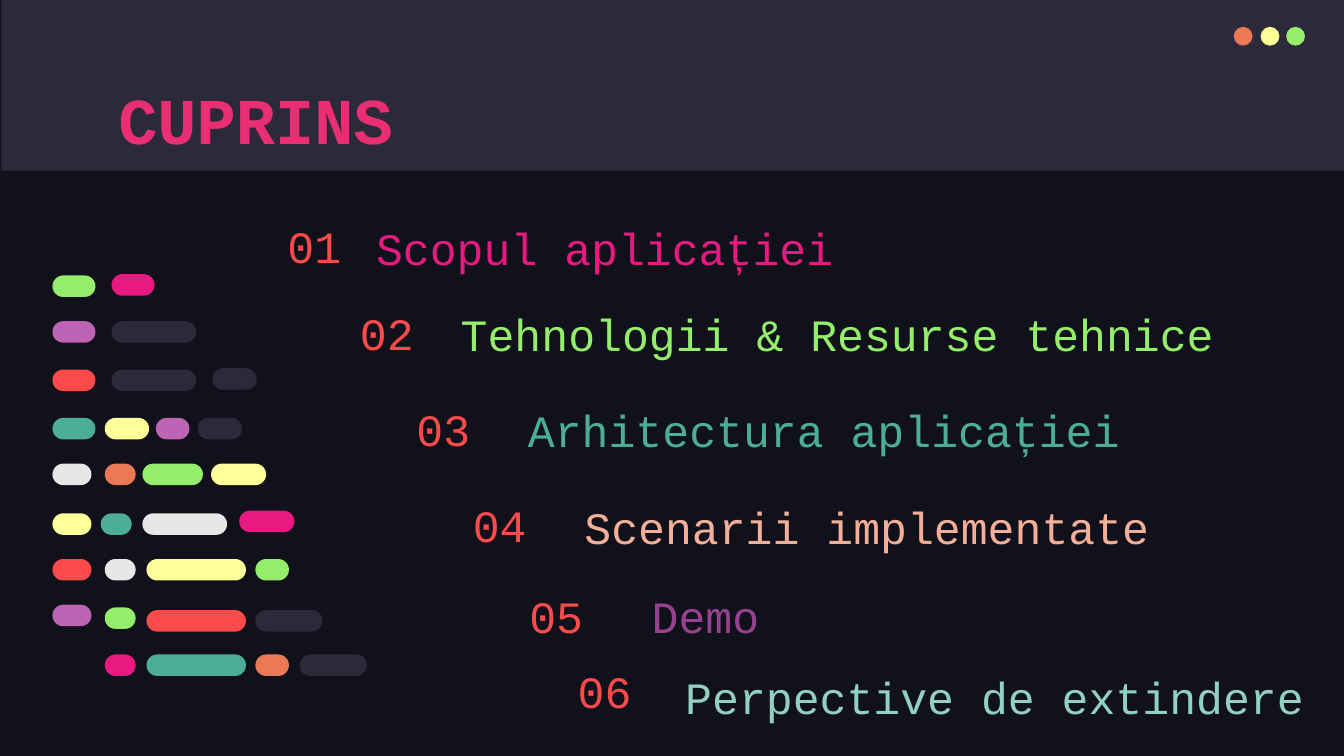
from pptx import Presentation
from pptx import util as u
from pptx.dml.color import RGBColor
from pptx.enum import shapes, text

PX = 9144  # EMU in one px, 100 px to the inch
FONT = "Courier New"

NIGHT = RGBColor(0x10, 0x11, 0x1A)
SLATE = RGBColor(0x2C, 0x29, 0x3A)
ROSE = RGBColor(0xEA, 0x2E, 0x74)
PINK = RGBColor(0xE8, 0x1A, 0x81)
RED = RGBColor(0xFD, 0x4A, 0x4A)
ORANGE = RGBColor(0xEC, 0x79, 0x55)
PEACH = RGBColor(0xF4, 0xAF, 0x99)
YELLOW = RGBColor(0xFF, 0xFF, 0x99)
GREEN = RGBColor(0x94, 0xEE, 0x6B)
TEAL = RGBColor(0x4C, 0xAE, 0x97)
MINT = RGBColor(0x92, 0xD0, 0xC1)
VIOLET = RGBColor(0xBD, 0x64, 0xB5)
PURPLE = RGBColor(0x98, 0x41, 0x90)
LIGHT = RGBColor(0xE7, 0xE7, 0xE7)

# Topic, colour, number box, topic box (left, top, width, height)
TOPICS = [
    ("Scopul aplicației", PINK, (204, 161, 66, 43), (270, 161, 460, 53)),
    ("Tehnologii & Resurse tehnice", GREEN, (258, 226, 66, 43), (333, 225, 583, 53)),
    ("Arhitectura aplicației", TEAL, (300, 301, 66, 36), (383, 297, 460, 53)),
    ("Scenarii implementate", PEACH, (342, 372, 66, 36), (425, 369, 460, 53)),
    ("Demo", PURPLE, (384, 440, 66, 36), (475, 435, 492, 53)),
    ("Perpective de extindere", MINT, (420, 496, 66, 36), (500, 495, 492, 53)),
]

# Code bars, line by line: left, top, width, colour, relative to the block
CODE_LINES = [
    [(0, 1, 32, GREEN), (44, 0, 32, PINK)],
    [(0, 35, 32, VIOLET), (44, 35, 63, SLATE)],
    [(0, 71, 32, RED), (44, 71, 63, SLATE), (119, 70, 33, SLATE)],
    [(0, 107, 32, TEAL), (39, 107, 33, YELLOW), (77, 107, 25, VIOLET), (108, 107, 33, SLATE)],
    [(0, 141, 29, LIGHT), (39, 141, 23, ORANGE), (67, 141, 45, GREEN), (118, 141, 41, YELLOW)],
    [(0, 178, 29, YELLOW), (36, 178, 23, TEAL), (67, 178, 63, LIGHT), (139, 176, 41, PINK)],
    [(0, 212, 29, RED), (39, 212, 23, LIGHT), (70, 212, 74, YELLOW), (151, 212, 25, GREEN)],
    [(0, 246, 29, VIOLET), (39, 248, 23, GREEN), (70, 250, 74, RED), (151, 250, 50, SLATE)],
    [(39, 283, 23, PINK), (70, 283, 74, TEAL), (151, 283, 25, ORANGE), (184, 283, 50, SLATE)],
]


def emu(box):
    return [length * PX for length in box]


def add_block(parent, kind, box, color):
    block = parent.add_shape(kind, *emu(box))
    block.shadow.inherit = False
    block.fill.solid()
    block.fill.fore_color.rgb = color
    block.line.fill.background()
    return block


def write(holder, words, size, color, anchor, spacing=1.0, bold=False):
    frame = holder.text_frame
    frame.word_wrap = True
    frame.auto_size = text.MSO_AUTO_SIZE.NONE
    frame.vertical_anchor = anchor
    frame.margin_left = frame.margin_right = 10 * PX
    frame.margin_top = frame.margin_bottom = 10 * PX
    line = frame.paragraphs[0]
    line.text = words
    line.alignment = text.PP_ALIGN.LEFT
    line.line_spacing = spacing
    line.font.name = FONT
    line.font.size = u.Pt(size)
    line.font.bold = bold
    line.font.color.rgb = color


def add_header(slide, box):
    left, top, width, height = box
    add_block(slide.shapes, shapes.MSO_SHAPE.RECTANGLE, box, SLATE)

    # Window buttons
    buttons = slide.shapes.add_group_shape()
    for x, color in ((917, ORANGE), (937, YELLOW), (956, GREEN)):
        add_block(buttons.shapes, shapes.MSO_SHAPE.OVAL, (left + x, top + 20, 14, 14), color)

    # Title, brought in front of the band
    title = slide.shapes.title
    slide.shapes._spTree.append(title._element)
    title.left, title.top, title.width, title.height = emu((left + 77, top + 49, 843, 63))
    write(title, "CUPRINS", 35, ROSE, text.MSO_ANCHOR.TOP, bold=True)


def add_code(slide, left, top):
    code = slide.shapes.add_group_shape()
    for line in CODE_LINES:
        for x, y, width, color in line:
            bar = add_block(code.shapes, shapes.MSO_SHAPE.ROUNDED_RECTANGLE,
                            (left + x, top + y, width, 16), color)
            bar.adjustments[0] = 0.5


def add_topics(slide):
    for number, (topic, color, number_box, topic_box) in enumerate(TOPICS, 1):
        write(slide.shapes.add_textbox(*emu(number_box)), f"{number:02}", 24, RED,
              text.MSO_ANCHOR.MIDDLE)
        write(slide.shapes.add_textbox(*emu(topic_box)), topic, 24, color,
              text.MSO_ANCHOR.BOTTOM, spacing=1.15)


def main():
    deck = Presentation()
    deck.slide_width = 1000 * PX
    deck.slide_height = deck.slide_width * 9 // 16
    slide = deck.slides.add_slide(deck.slide_layouts.get_by_name("Title Only"))
    slide.background.fill.solid()
    slide.background.fill.fore_color.rgb = NIGHT

    add_header(slide, (1, 0, 1000, 127))
    add_code(slide, 39, 204)
    add_topics(slide)
    deck.save("out.pptx")


if __name__ == "__main__":
    main()
